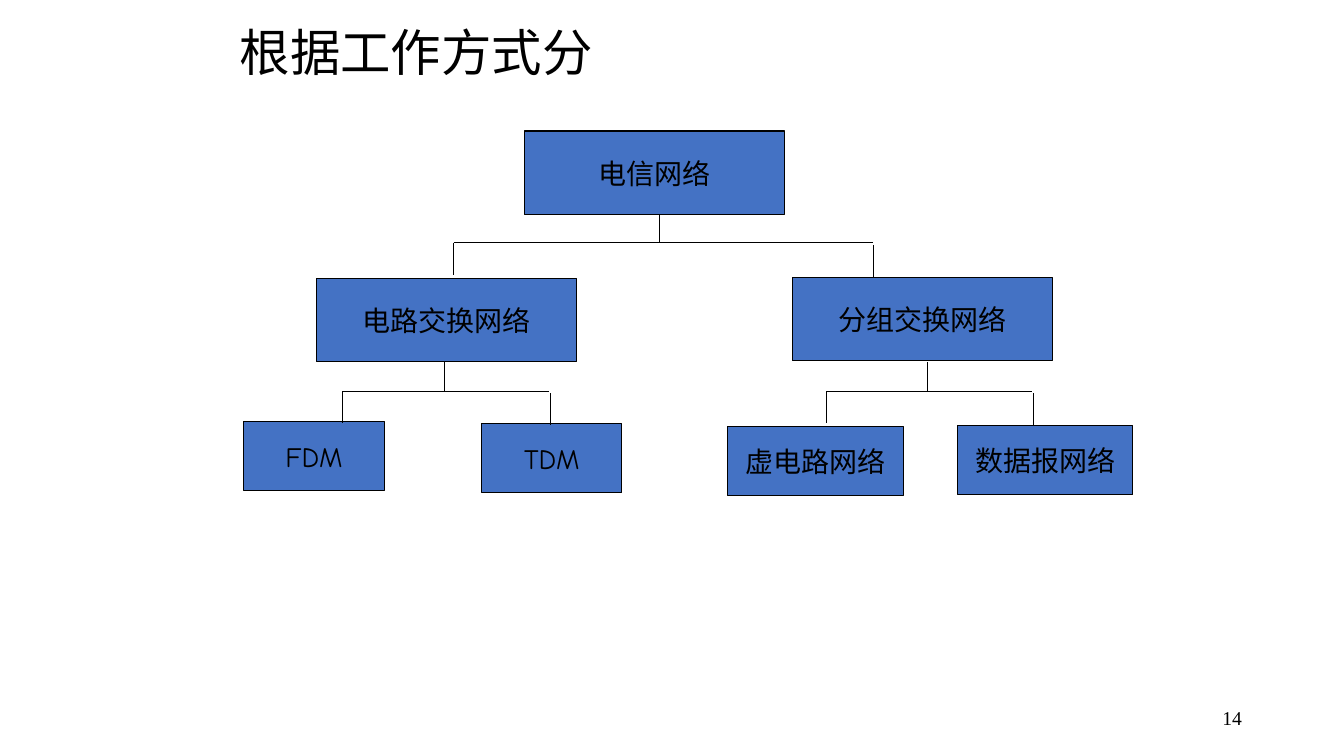
"""Slide with a tree of telecom networks sorted by working mode."""
from lxml import etree
from pptx import Presentation
from pptx.dml.color import RGBColor
from pptx.enum.shapes import MSO_CONNECTOR, MSO_SHAPE
from pptx.enum.text import MSO_ANCHOR, PP_ALIGN
from pptx.oxml.ns import qn
from pptx.util import Inches, Pt

RECT = MSO_SHAPE.RECTANGLE
STRAIGHT = MSO_CONNECTOR.STRAIGHT
TOP, MIDDLE = MSO_ANCHOR.TOP, MSO_ANCHOR.MIDDLE
LEFT, CENTER, RIGHT = PP_ALIGN.LEFT, PP_ALIGN.CENTER, PP_ALIGN.RIGHT


def color(value):
    return RGBColor.from_string(value)


def put_text(s, text, size=20, font="Comic Neue", ink="000000", align=LEFT,
             anchor=MIDDLE, wrap=True, spacing=None):
    tf = s.text_frame
    tf.word_wrap = wrap
    tf.vertical_anchor = anchor
    p = tf.paragraphs[0]
    p.alignment = align
    p.line_spacing = spacing
    r = p.add_run()
    r.text = text
    r.font.size = Pt(size)
    r.font.name = font
    r.font.color.rgb = color(ink)
    ea = etree.SubElement(r.font._element, qn("a:ea"))
    ea.set("typeface", "Noto Sans CJK SC")


class TreeSlide:
    """Draws on one slide, with lengths in percent of its width and height."""

    fill = "4472C4"
    ink = "000000"
    weight = 0.75
    box_height = 11.07
    leaf_height = 9.2
    stem = 3.8
    drop = 4.27
    step = 0.27

    def __init__(self, prs):
        self.prs = prs
        self.shapes = prs.slides.add_slide(prs.slide_layouts[6]).shapes

    def at(self, x, y):
        return (int(self.prs.slide_width * x / 100),
                int(self.prs.slide_height * y / 100))

    def text(self, x, y, w, h, text, **style):
        s = self.shapes.add_textbox(*self.at(x, y), *self.at(w, h))
        put_text(s, text, **style)

    def box(self, x, y, w, h, text):
        s = self.shapes.add_shape(RECT, *self.at(x, y), *self.at(w, h))
        s.shadow.inherit = False
        s.fill.solid()
        s.fill.fore_color.rgb = color(self.fill)
        s.line.color.rgb = color(self.ink)
        s.line.width = Pt(self.weight)
        put_text(s, text, align=CENTER, wrap=False)

    def line(self, x1, y1, x2, y2):
        s = self.shapes.add_connector(STRAIGHT, *self.at(x1, y1), *self.at(x2, y2))
        s.line.color.rgb = color(self.ink)
        s.line.width = Pt(self.weight)
        etree.SubElement(s._element.spPr, qn("a:effectLst"))

    def branch(self, left, right, middle, y):
        self.line(left, y, right - 0.1, y)
        self.line(right, y + self.step, right, y + self.step + self.drop)
        self.line(left, y, left, y + self.drop)
        self.line(middle, y - self.stem, middle, y)


def main():
    prs = Presentation()
    prs.slide_width, prs.slide_height = Inches(13.33), Inches(7.5)
    slide = TreeSlide(prs)
    slide.text(70.65, 92.67, 22.5, 5.33, "14", size=14,
               font="Times New Roman", align=RIGHT, anchor=TOP)
    slide.text(17.1, 0, 63.75, 14.53, "根据工作方式分", size=36,
               font="Noto Sans CJK SC", spacing=0.9)

    for x, y, text in ((39, 17.33, "电信网络"),
                       (23.55, 36.8, "电路交换网络"),
                       (58.95, 36.67, "分组交换网络")):
        slide.box(x, y, 19.35, slide.box_height, text)

    for x, y, w, text in ((18.15, 55.73, 10.43, "FDM"),
                          (35.85, 56, 10.43, "TDM"),
                          (54.15, 56.4, 13.05, "虚电路网络"),
                          (71.25, 56.27, 13.05, "数据报网络")):
        slide.box(x, y, w, slide.leaf_height, text)

    for left, right, middle, y in ((33.75, 65.03, 49.05, 32.13),
                                   (25.5, 40.95, 33.08, 51.73),
                                   (61.5, 76.88, 69, 51.73)):
        slide.branch(left, right, middle, y)

    prs.save("out.pptx")


if __name__ == "__main__":
    main()
